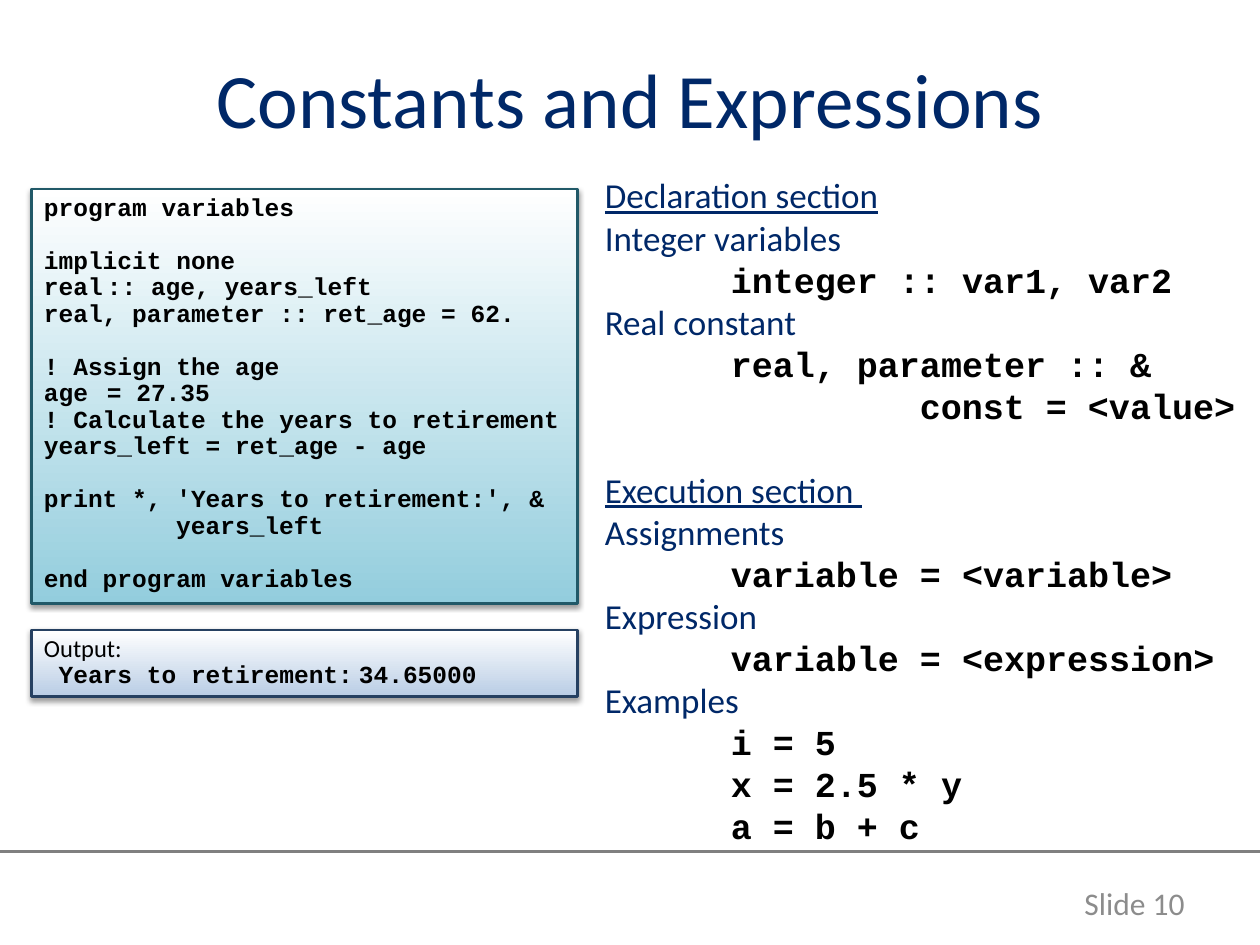
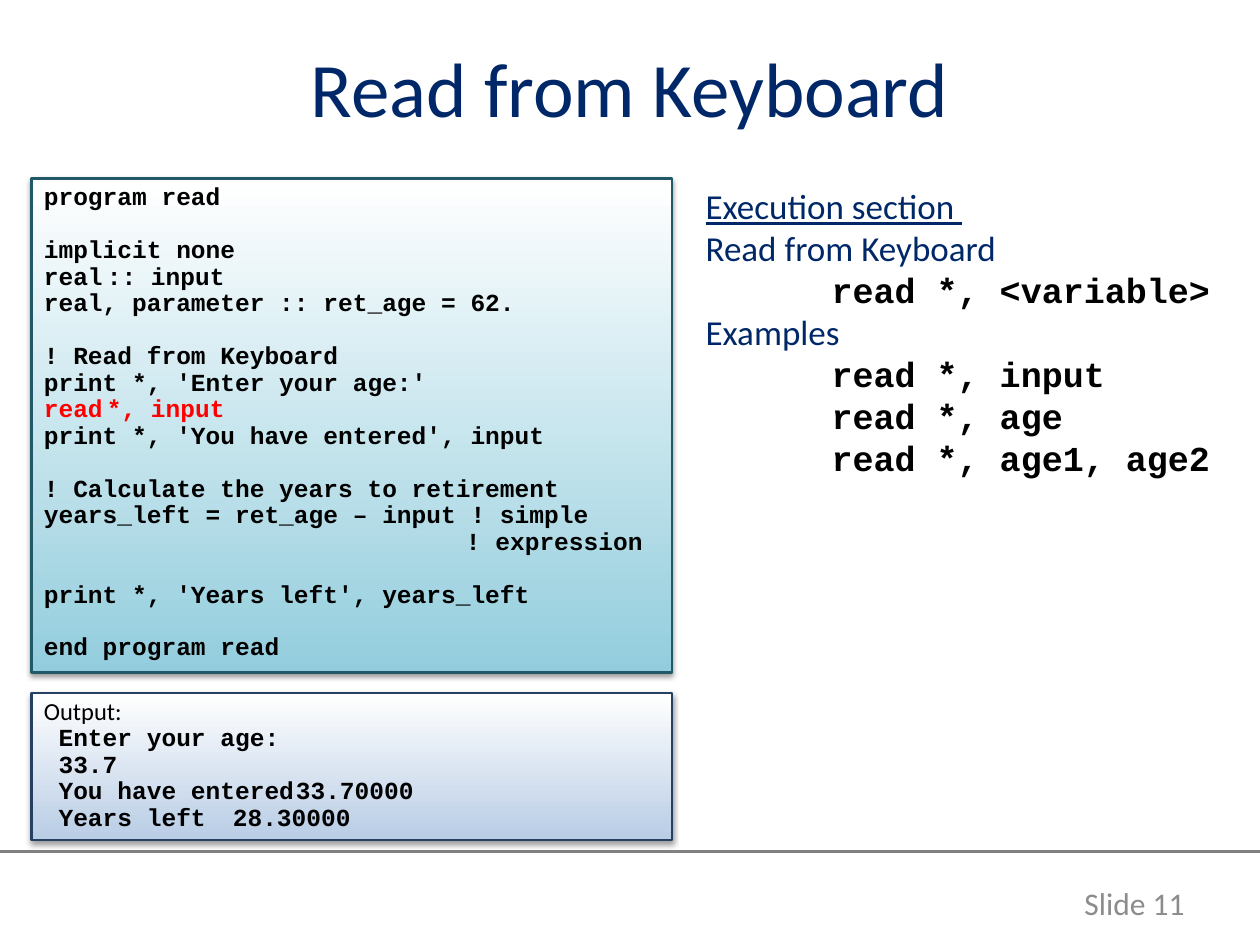
from dataclasses import dataclass, replace

from pptx import Presentation
from pptx.dml.color import RGBColor
from pptx.enum import shapes, text
from pptx.oxml import parse_xml
from pptx.oxml.ns import nsdecls, qn
from pptx.util import Pt

HUES = {
    "navy": "002868", "black": "000000", "red": "FF0000",
    "white": "FFFFFF", "rule": "808080", "foot": "8C8C8C",
    "teal": "93CDDD", "teal edge": "215968",
    "blue": "B9CDE5", "blue edge": "254061",
}
CODE_CHAR = 8.4   # width of one 14 pt code character
CODE_GAP = 15.12  # height of one code line
NOTE_GAP = 24     # height of one note line
NOTE_TAB = 72
EDGE = 18         # left edge of the boxes


@dataclass(frozen=True)
class Look:
    font: str
    size: float
    hue: str
    bold: bool = False
    under: bool = False


TITLE = Look("Calibri", 44, "navy")
FOOT = Look("Calibri", 18, "foot")
NOTE = Look("Calibri", 20, "navy")
HEAD = replace(NOTE, under=True)
SYNTAX = Look("Courier New", 20, "black", bold=True)
CODE = replace(SYNTAX, size=14)
HOT = replace(CODE, hue="red")
LABEL = Look("Calibri", 14, "black")


@dataclass(frozen=True)
class Line:
    """One paragraph; gap, left and tab are in points."""
    text: str
    look: Look = CODE
    gap: float = 0
    left: float = 0
    tab: float = 0


@dataclass(frozen=True)
class Area:
    left: float
    top: float
    width: float
    height: float


@dataclass(frozen=True)
class Page:
    number: int
    title: str
    head: float
    code: Area
    source: list[Line]
    out: Area
    result: list[Line]
    side: Area
    notes: list[Line]


def at(col: int, words: str, gap: float = 0) -> Line:
    """Code line whose tab stops at a character column."""
    return Line(words, gap=gap, tab=col * CODE_CHAR)


def after(words: str) -> Line:
    """Code line that opens a new block."""
    return Line(words, gap=CODE_GAP)


def syntax(words: str, left: float = NOTE_TAB) -> Line:
    return Line(words, SYNTAX, left=left)


def colour(name: str) -> RGBColor:
    return RGBColor.from_string(HUES[name])


def place(shape, area: Area) -> None:
    shape.left, shape.top = Pt(area.left), Pt(area.top)
    shape.width, shape.height = Pt(area.width), Pt(area.height)


def style(para, look: Look) -> None:
    for run in para.runs:
        font = run.font
        font.name, font.size = look.font, Pt(look.size)
        font.bold, font.underline = look.bold, look.under
        font.color.rgb = colour(look.hue)


def write(frame, lines: list[Line], pitch: float = 1.0) -> None:
    """Fill a frame with unbulleted lines, top left."""
    frame.word_wrap = True
    frame.auto_size = text.MSO_AUTO_SIZE.NONE
    frame.vertical_anchor = text.MSO_ANCHOR.TOP
    frame.text = "\n".join(line.text for line in lines)
    for para, line in zip(frame.paragraphs, lines):
        para.alignment = text.PP_ALIGN.LEFT
        para.line_spacing = pitch
        para.space_before, para.space_after = Pt(line.gap), Pt(0)
        style(para, line.look)
        props = para._p.get_or_add_pPr()
        props.set("marL", str(Pt(line.left)))
        props.set("indent", "0")
        props.append(parse_xml(f'<a:buNone {nsdecls("a")}/>'))
        if line.tab:
            props.append(parse_xml(
                f'<a:tabLst {nsdecls("a")}>'
                f'<a:tab pos="{Pt(line.tab)}" algn="l"/></a:tabLst>'))


def shade(shape) -> None:
    """Give a shape a soft shadow that falls straight down."""
    shape.shadow.inherit = False
    shape._element.spPr.find(qn("a:effectLst")).append(parse_xml(
        f'<a:outerShdw {nsdecls("a")} blurRad="{Pt(3.1)}" dist="{Pt(1.6)}" '
        f'dir="5400000" rotWithShape="0"><a:srgbClr val="{HUES["black"]}">'
        '<a:alpha val="38000"/></a:srgbClr></a:outerShdw>'))


def panel(slide, area: Area, hue: str, lines: list[Line]) -> None:
    box = slide.shapes.add_shape(shapes.MSO_SHAPE.RECTANGLE, 0, 0, 0, 0)
    place(box, area)
    box.fill.gradient()
    box.fill.gradient_angle = 90
    for stop, name in zip(box.fill.gradient_stops, (hue, "white")):
        stop.color.rgb = colour(name)
    box.line.color.rgb = colour(f"{hue} edge")
    box.line.width = Pt(1.5)
    shade(box)
    write(box.text_frame, lines, 0.9)


def footer(slide, number: int) -> None:
    rule = slide.shapes.add_connector(
        shapes.MSO_CONNECTOR.STRAIGHT, 0, Pt(486.7), Pt(720), Pt(486.7))
    rule.line.color.rgb = colour("rule")
    rule.line.width = Pt(2)
    rule._element.spPr.append(parse_xml(f'<a:effectLst {nsdecls("a")}/>'))
    box = slide.shapes.add_textbox(0, 0, 0, 0)
    place(box, Area(605.5, 501.8, 78.5, 28.8))
    frame = box.text_frame
    frame.word_wrap = True
    frame.vertical_anchor = text.MSO_ANCHOR.MIDDLE
    frame.text = f"Slide {number}"
    frame.paragraphs[0].alignment = text.PP_ALIGN.RIGHT
    style(frame.paragraphs[0], FOOT)


def build(deck, page: Page) -> None:
    slide = deck.slides.add_slide(deck.slide_layouts[1])
    footer(slide, page.number)
    title, body = slide.shapes.title, slide.placeholders[1]
    place(title, Area(36, page.head, 648, 44.6))
    frame = title.text_frame
    frame.auto_size = text.MSO_AUTO_SIZE.NONE
    frame.vertical_anchor = text.MSO_ANCHOR.MIDDLE
    frame.text = page.title
    frame.paragraphs[0].alignment = text.PP_ALIGN.CENTER
    style(frame.paragraphs[0], TITLE)
    panel(slide, page.code, "teal", page.source)
    place(body, page.side)
    write(body.text_frame, page.notes)
    panel(slide, page.out, "blue", page.result)


PAGES = [
    Page(
        10, "Constants and Expressions", 33.8,
        Area(EDGE, 108, 312, 236.9),
        [
            Line("program variables"),
            after("implicit none"),
            at(16, "real\t:: age, years_left"),
            Line("real, parameter :: ret_age = 62."),
            after("! Assign the age"),
            at(11, "age\t= 27.35"),
            Line("! Calculate the years to retirement"),
            Line("years_left = ret_age - age"),
            after("print *, 'Years to retirement:', &"),
            Line("years_left", left=9 * CODE_CHAR),
            after("end program variables"),
        ],
        Area(EDGE, 360, 312, 38.2),
        [
            Line("Output:", LABEL),
            at(24, " Years to retirement:\t34.65000"),
        ],
        Area(338.4, 95.8, 381.6, 395.3),
        [
            Line("Declaration section", HEAD),
            Line("Integer variables", NOTE),
            syntax("integer :: var1, var2"),
            Line("Real constant", NOTE),
            syntax("real, parameter :: &"),
            syntax("const = <value>", 180),
            Line("Execution section ", HEAD, gap=NOTE_GAP),
            Line("Assignments", NOTE),
            syntax("variable = <variable>"),
            Line("Expression", NOTE),
            syntax("variable = <expression>"),
            Line("Examples", NOTE),
            syntax("i = 5"),
            syntax("x = 2.5 * y"),
            syntax("a = b + c"),
        ],
    ),
    Page(
        11, "Read from Keyboard", 27.4,
        Area(EDGE, 102, 366, 282.2),
        [
            Line("program read"),
            after("implicit none"),
            at(16, "real\t:: input"),
            Line("real, parameter :: ret_age = 62."),
            after("! Read from Keyboard"),
            Line("print *, 'Enter your age:'"),
            Line("read\t*, input", HOT, tab=6 * CODE_CHAR),
            Line("print *, 'You have entered', input"),
            after("! Calculate the years to retirement"),
            Line("years_left = ret_age – input ! simple"),
            Line("! expression", left=241.2),
            after("print *, 'Years left', years_left"),
            after("end program read"),
        ],
        Area(EDGE, 396, 366, 84),
        [
            Line("Output:", LABEL),
            Line(" Enter your age:"),
            Line(" 33.7"),
            at(20, " You have entered\t33.70000"),
            at(14, " Years left\t28.30000"),
        ],
        Area(396, 102, 336, 177.1),
        [
            Line("Execution section ", HEAD),
            Line("Read from Keyboard", NOTE),
            syntax("read *, <variable>"),
            Line("Examples", NOTE),
            syntax("read *, input"),
            syntax("read *, age"),
            syntax("read *, age1, age2"),
        ],
    ),
]


def main() -> None:
    deck = Presentation()
    deck.slide_width, deck.slide_height = Pt(720), Pt(540)
    for page in PAGES:
        build(deck, page)
    deck.save("out.pptx")


if __name__ == "__main__":
    main()
